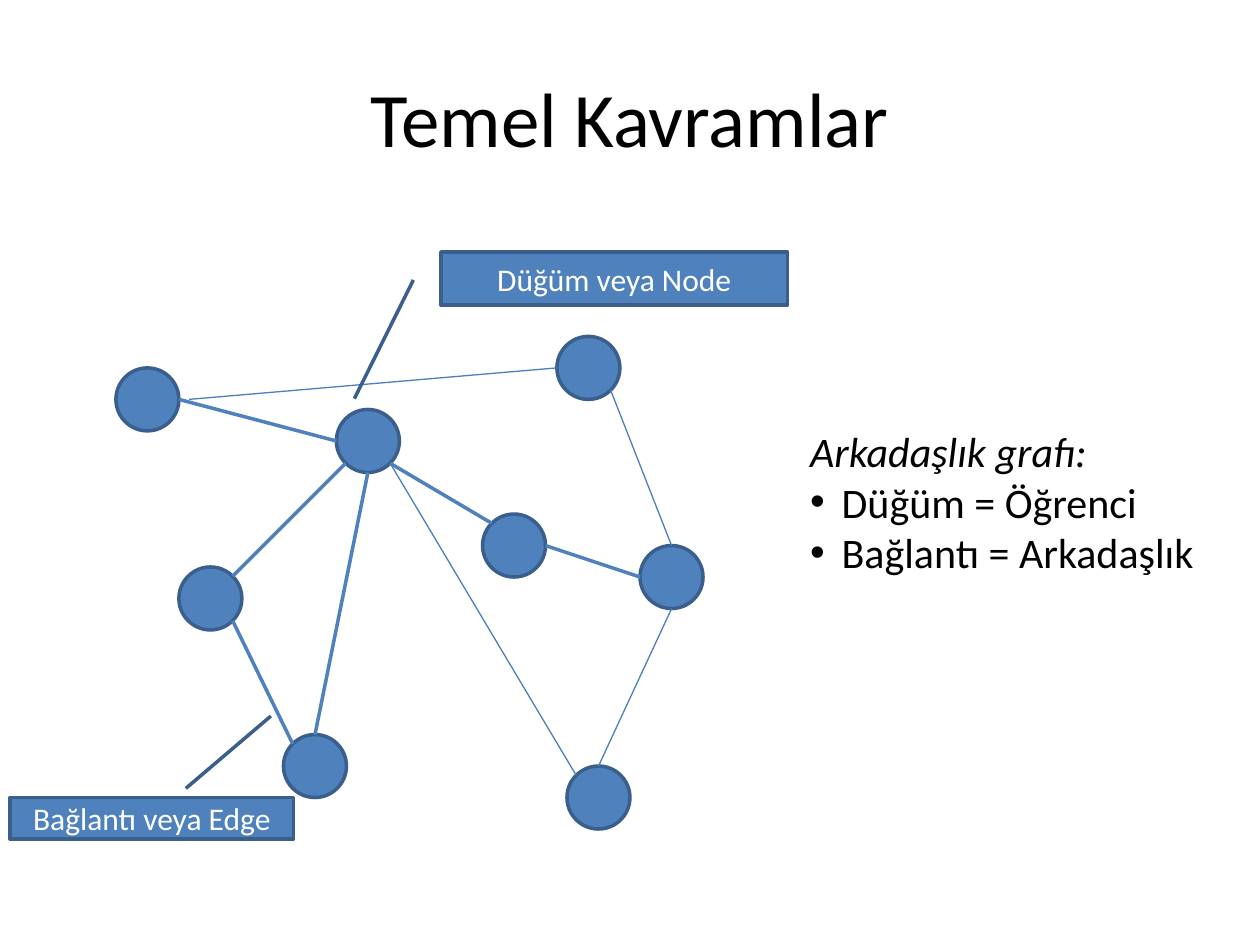
from dataclasses import dataclass
from math import sqrt

from lxml import etree
from pptx import Presentation
from pptx.dml.color import RGBColor
from pptx.enum import shapes, text
from pptx.oxml.ns import qn
from pptx.util import Inches, Pt

COLORS = {
    "fill": "4F81BD",
    "outline": "3A5F8C",
    "edge": "4B7EBC",
    "black": "000000",
    "white": "FFFFFF",
}
FONT = "Calibri"
RADIUS = 0.25
DIAGONAL = 1 / sqrt(2)

# Directions from a node's centre to its rim
SITES = {
    "top": (0, -1),
    "bottom": (0, 1),
    "left": (-1, 0),
    "right": (1, 0),
    "top left": (-DIAGONAL, -DIAGONAL),
    "bottom left": (-DIAGONAL, DIAGONAL),
    "top right": (DIAGONAL, -DIAGONAL),
    "bottom right": (DIAGONAL, DIAGONAL),
}


@dataclass
class Edge:
    start: str
    start_site: str
    end: str
    end_site: str
    color: str = "fill"
    width: float = 0
    end_gap: float = 0


@dataclass
class Callout:
    label: str
    left: float
    top: float
    width: float
    height: float
    leader: tuple


# Node centres in inches
NODES = {
    "west": (1.17, 3.17),
    "hub": (2.92, 3.5),
    "southwest": (1.67, 4.75),
    "middle": (4.08, 4.33),
    "north": (4.67, 2.92),
    "east": (5.33, 4.58),
    "south": (2.5, 6.08),
    "southeast": (4.75, 6.33),
}
EDGES = [
    Edge("west", "right", "hub", "left"),
    Edge("hub", "bottom right", "middle", "top left"),
    Edge("hub", "bottom left", "southwest", "top right"),
    Edge("south", "top", "hub", "bottom"),
    Edge("southwest", "bottom right", "south", "top left"),
    Edge("middle", "right", "east", "left"),
    Edge("east", "top", "north", "bottom right", "edge", 0.75),
    Edge("east", "bottom", "southeast", "top", "edge", 0.75),
    Edge("north", "left", "west", "right", "edge", 0.75, 0.08),
    Edge("southeast", "top left", "hub", "bottom right", "edge", 0.75),
]
CALLOUTS = [
    Callout("Düğüm veya Node", 3.5, 2, 2.75, 0.42, (0.53, -0.08, 2.77, -0.25)),
    Callout("Bağlantı veya Edge", 0.08, 6.33, 2.25, 0.33, (-0.22, 0.62, -1.96, 0.92)),
]


def rgb(name: str) -> RGBColor:
    return RGBColor.from_string(COLORS[name])


def place(shape, left: float, top: float, width: float, height: float) -> None:
    shape.left, shape.top = Inches(left), Inches(top)
    shape.width, shape.height = Inches(width), Inches(height)


def format_text(para, size: int, color: str) -> None:
    for span in para.runs:
        span.font.name = FONT
        span.font.size = Pt(size)
        span.font.color.rgb = rgb(color)


def style_shape(shape) -> None:
    shape.shadow.inherit = False
    shape.fill.solid()
    shape.fill.fore_color.rgb = rgb("fill")
    shape.line.color.rgb = rgb("outline")
    shape.line.width = Pt(2)


def rim_point(node: str, site: str, gap: float = 0) -> tuple:
    (x, y), (dx, dy) = NODES[node], SITES[site]
    reach = RADIUS + gap
    return Inches(x + dx * reach), Inches(y + dy * reach)


def draw_node(group, x: float, y: float) -> None:
    node = group.shapes.add_shape(
        shapes.MSO_SHAPE.FLOWCHART_CONNECTOR,
        Inches(x - RADIUS), Inches(y - RADIUS),
        Inches(2 * RADIUS), Inches(2 * RADIUS),
    )
    style_shape(node)


def draw_edge(group, edge: Edge) -> None:
    line = group.shapes.add_connector(
        shapes.MSO_CONNECTOR.STRAIGHT,
        *rim_point(edge.start, edge.start_site),
        *rim_point(edge.end, edge.end_site, edge.end_gap),
    )
    line.line.color.rgb = rgb(edge.color)
    line.line.width = Pt(edge.width)
    etree.SubElement(line._element.spPr, qn("a:effectLst"))


def draw_callout(page, callout: Callout) -> None:
    box = page.shapes.add_shape(shapes.MSO_SHAPE.LINE_CALLOUT_1, 0, 0, 0, 0)
    place(box, callout.left, callout.top, callout.width, callout.height)
    for index, value in enumerate(callout.leader):
        box.adjustments[index] = value
    style_shape(box)
    box.text_frame.text = callout.label
    box.text_frame.vertical_anchor = text.MSO_ANCHOR.MIDDLE
    para = box.text_frame.paragraphs[0]
    para.alignment = text.PP_ALIGN.CENTER
    format_text(para, 18, "white")


def fill_legend(body) -> None:
    place(body, 6.33, 3.33, 3.67, 1.31)
    frame = body.text_frame
    frame.text = "Arkadaşlık grafı:\nDüğüm = Öğrenci\nBağlantı = Arkadaşlık"
    frame.auto_size = text.MSO_AUTO_SIZE.SHAPE_TO_FIT_TEXT
    for index, para in enumerate(frame.paragraphs):
        para.space_before = Pt(0)
        format_text(para, 24, "black")
        indent = Inches(0.25) if index else 0
        properties = para._p.get_or_add_pPr()
        properties.set("marL", str(indent))
        properties.set("indent", str(-indent))
        if index:
            etree.SubElement(properties, qn("a:buFont"), typeface="Arial")
            etree.SubElement(properties, qn("a:buChar"), char="•")
        else:
            etree.SubElement(properties, qn("a:buNone"))
    frame.paragraphs[0].runs[0].font.italic = True


def main() -> None:
    deck = Presentation()
    deck.slide_width, deck.slide_height = Inches(10), Inches(7.5)
    page = deck.slides.add_slide(deck.slide_layouts[1])

    # Title
    title = page.shapes.title
    place(title, 0.5, 0.3, 9, 1.25)
    title.text_frame.text = "Temel Kavramlar"
    format_text(title.text_frame.paragraphs[0], 44, "black")

    # Friendship graph
    graph = page.shapes.add_group_shape()
    for x, y in NODES.values():
        draw_node(graph, x, y)
    for edge in EDGES:
        draw_edge(graph, edge)

    # Labels and legend
    for callout in CALLOUTS:
        draw_callout(page, callout)
    fill_legend(page.placeholders[1])

    deck.save("out.pptx")


if __name__ == "__main__":
    main()
